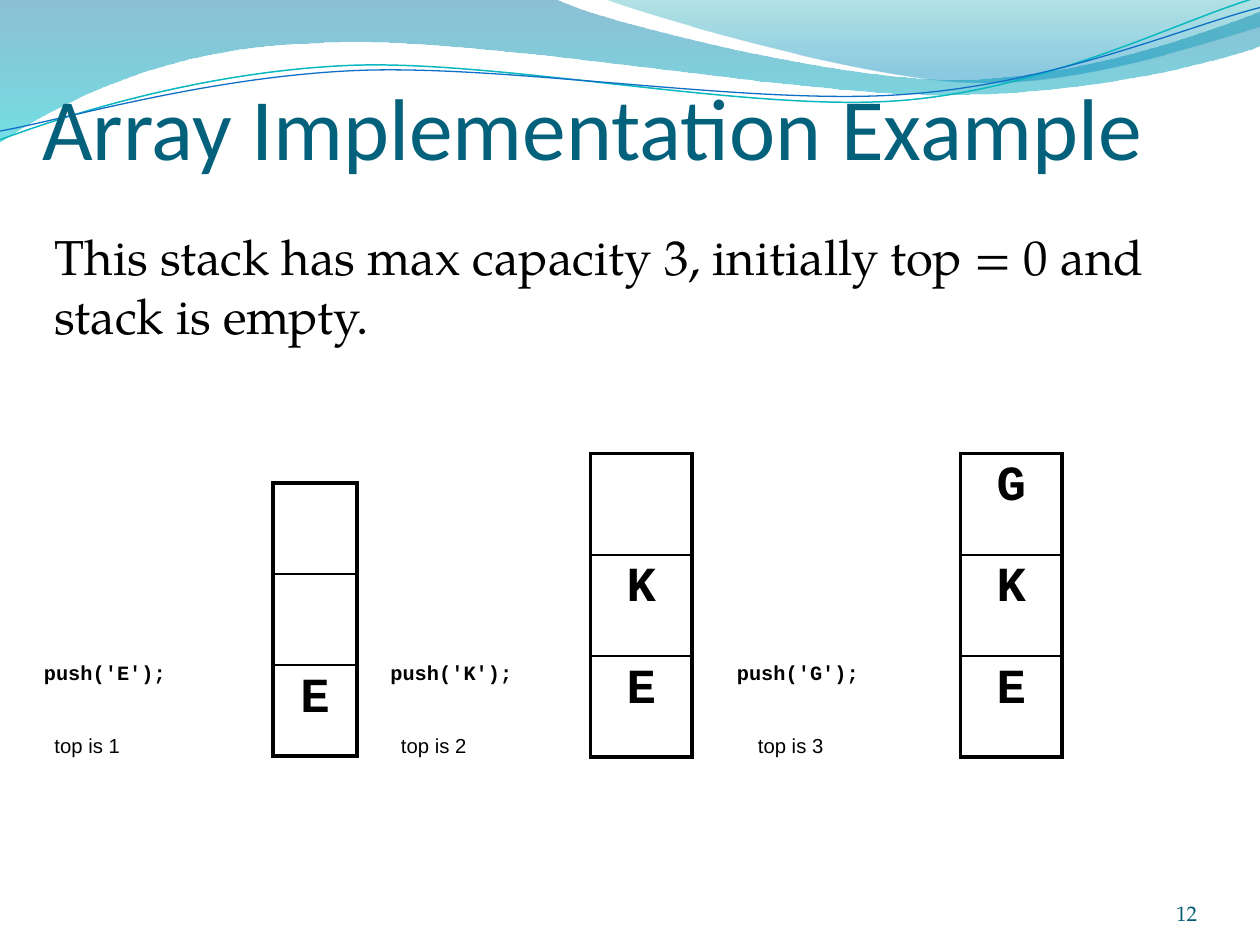
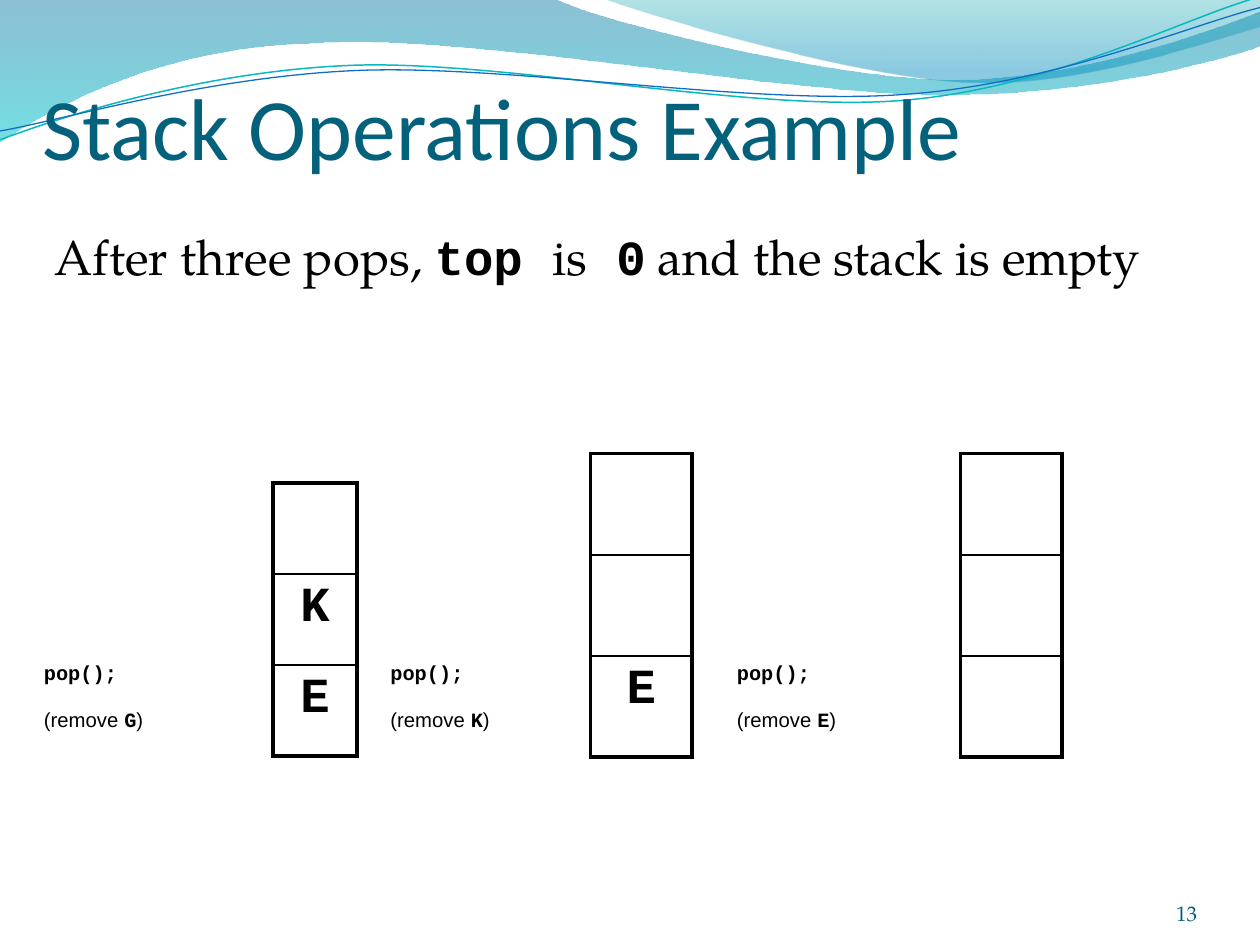
from dataclasses import dataclass

from pptx import Presentation
from pptx.dml.color import RGBColor
from pptx.enum.text import MSO_ANCHOR as Anchor, MSO_AUTO_SIZE as AutoSize, PP_ALIGN as Align
from pptx.oxml.ns import qn
from pptx.oxml.xmlchemy import OxmlElement
from pptx.util import Inches, Pt

# Shared look
BLACK = RGBColor(0, 0, 0)
TITLE_TEAL = RGBColor(0x04, 0x61, 0x7B)
NUMBER_TEAL = RGBColor(0x04, 0x5D, 0x75)
DEEP_BLUE = RGBColor(0x00, 0x74, 0xA1)
CYAN = RGBColor(0x00, 0xC6, 0xCF)
SEA_GREEN = RGBColor(0x00, 0xA1, 0xA9)
SKY_BLUE = RGBColor(0x00, 0x8B, 0xBF)
LINE_CYAN = RGBColor(0x0A, 0xB8, 0xBF)
LINE_BLUE = RGBColor(0x0F, 0x6F, 0xC6)
HEAD, BODY, CODE, SANS = "Calibri", "TeX Gyre Pagella", "Courier New", "Arial"

prs = Presentation()
prs.slide_width, prs.slide_height = Inches(10), Inches(7.5)
COLS, ROWS = 120, 90  # square layout grid
THICK, THIN = 2.25, 1
FIRST_NUMBER = 12


def col(n: float) -> int:
    return round(prs.slide_width * n / COLS)


def row(n: float) -> int:
    return round(prs.slide_height * n / ROWS)


def place(s, x: float, y: float, w: float, h: float) -> None:
    s.left, s.top, s.width, s.height = col(x), row(y), col(w), row(h)


@dataclass
class Stop:
    position: float
    color: RGBColor
    opacity: int


@dataclass
class Wave:
    """A path in inches: pairs are straight segments, sextets are Bezier curves."""
    start: tuple
    segments: list
    stops: tuple = ()
    color: RGBColor = BLACK
    width: float = 0


@dataclass
class Run:
    text: str
    font: str = BODY
    bold: bool = False


@dataclass
class Step:
    """One stack state: contents run from top cell to bottom cell."""
    lines: list
    contents: str
    note: str = ""


@dataclass
class Place:
    label: float
    note: float
    stack_x: float
    stack_y: float
    width: float
    cell: float


@dataclass
class Page:
    title: str
    body: list
    steps: list


PLACES = [Place(3, 4, 26, 46, 8, 8.67),
          Place(36, 37, 56.25, 43.2, 9.64, 9.64),
          Place(69, 71, 91.5, 43.2, 9.64, 9.64)]

WAVES = [
    Wave((0, 0), [(4.4, -.01), (4.76, .17, 6.64, .63, 7.58, .63),
                  (8.53, .63, 9.58, .26, 10, .09), (10.01, .36),
                  (9.83, .44, 8.7, .76, 7.46, .75), (6.22, .75, 3.82, .28, 2.57, .34),
                  (1.29, .36, .46, .83, -.01, 1.13)],
         stops=(Stop(0, DEEP_BLUE, 45), Stop(1, CYAN, 55))),
    Wave((4.79, -.01), [(5.09, .11, 6.82, .62, 7.69, .65),
                        (8.56, .69, 9.61, .32, 10, .21), (10, 0)],
         stops=(Stop(0, SEA_GREEN, 30), Stop(.8, SKY_BLUE, 45))),
    Wave((0, 1.11), [(.48, .93, 1.58, .57, 2.77, .52), (3.95, .47, 5.93, .89, 7.13, .8),
                     (8.33, .71, 9.38, .15, 9.98, -.02)], color=LINE_CYAN, width=.85),
    Wave((0, 1.04), [(.47, .96, 1.64, .61, 2.83, .56), (4.03, .51, 5.97, .84, 7.17, .75),
                     (8.36, .67, 9.41, .21, 10, .06)], color=LINE_BLUE, width=.75),
]


def push(letter: str, contents: str, top: int) -> Step:
    return Step([[Run(f"push('{letter}');", CODE, True)]], contents, f"top is {top}")


def pop(letter: str, contents: str) -> Step:
    return Step([[Run("pop();", CODE, True)],
                 [Run("(remove ", SANS), Run(letter, CODE, True), Run(")", SANS)]], contents)


PAGES = [
    Page("Array Implementation Example",
         [Run("This stack has max capacity 3, initially top = 0 and stack is empty.")],
         [push("E", "  E", 1), push("K", " KE", 2), push("G", "GKE", 3)]),
    Page("Stack Operations Example",
         [Run("After three pops, "), Run("top ", CODE, True), Run("is"),
          Run(" 0", CODE, True), Run(" and the stack is empty")],
         [pop("G", " KE"), pop("K", "  E"), pop("E", "   ")]),
]


def style(p, font: str, size: float, color: RGBColor = BLACK, bold: bool = False) -> None:
    f = p.font
    f.name, f.size, f.bold, f.color.rgb = font, Pt(size), bold, color


def add_runs(p, runs: list, size: float, subscript: bool = False) -> None:
    style(p, runs[0].font, size, bold=runs[0].bold)
    for run in runs:
        r = p.add_run()
        r.text = run.text
        if len(runs) > 1:
            r.font.name, r.font.bold = run.font, run.bold
        if subscript:
            r.font._element.set("baseline", "-25000")


# Wave band, kept on the master
def bend(s, segments: list) -> None:
    """Join each three points of a curve into one Bezier segment."""
    points = iter(list(s.element.iter(qn("a:lnTo"))))
    for seg in segments:
        group = [next(points) for _ in range(len(seg) // 2)]
        if len(group) == 1:
            continue
        curve = OxmlElement("a:cubicBezTo")
        group[0].addprevious(curve)
        for ln in group:
            curve.append(ln[0])
            ln.getparent().remove(ln)


def draw_wave(slide, wave: Wave):
    builder = slide.shapes.build_freeform(*map(Inches, wave.start))
    vertices = [(Inches(seg[i]), Inches(seg[i + 1]))
                for seg in wave.segments for i in range(0, len(seg), 2)]
    builder.add_line_segments(vertices, close=bool(wave.stops))
    s = builder.convert_to_shape()
    bend(s, wave.segments)
    s.shadow.inherit = False
    if not wave.stops:
        s.fill.background()
        s.line.color.rgb, s.line.width = wave.color, Pt(wave.width)
        return s
    s.line.fill.background()
    s.fill.gradient()
    s.fill.gradient_angle = 270
    for target, stop in zip(s.fill.gradient_stops, wave.stops):
        target.position, target.color.rgb = stop.position, stop.color
    for clr, stop in zip(s.element.iter(qn("a:srgbClr")), wave.stops):
        alpha = OxmlElement("a:alpha")
        alpha.set("val", str(stop.opacity * 1000))
        clr.append(alpha)
    return s


def add_master_waves(slide) -> None:
    tree = prs.slide_master.shapes.element
    for i, wave in enumerate(WAVES):
        tree.insert(2 + i, draw_wave(slide, wave).element)


# Stack tables
def set_border(cell, side: str, width: float) -> None:
    ln = OxmlElement(f"a:ln{side}")
    ln.set("w", str(Pt(width)))
    fill, clr = OxmlElement("a:solidFill"), OxmlElement("a:srgbClr")
    clr.set("val", str(BLACK))
    fill.append(clr)
    ln.append(fill)
    cell._tc.get_or_add_tcPr().append(ln)


def add_stack(slide, at: Place, contents: str) -> None:
    n = len(contents)
    table = slide.shapes.add_table(n, 1, col(at.stack_x), row(at.stack_y),
                                   col(at.width), row(at.cell * n)).table
    table.first_row = table.horz_banding = False
    for i, letter in enumerate(contents):
        cell = table.cell(i, 0)
        widths = {"L": THICK, "R": THICK, "T": THIN if i else THICK,
                  "B": THIN if i < n - 1 else THICK}
        for side, width in widths.items():
            set_border(cell, side, width)
        cell.fill.background()
        if letter.strip():
            p = cell.text_frame.paragraphs[0]
            p.alignment, p.space_before = Align.CENTER, Pt(5.6)
            add_runs(p, [Run(letter, CODE, True)], 28)


def add_label(slide, x: float, y: float, w: float, h: float, lines: list, wrap: bool) -> None:
    tf = slide.shapes.add_textbox(col(x), row(y), col(w), row(h)).text_frame
    tf.word_wrap, tf.auto_size = wrap, AutoSize.SHAPE_TO_FIT_TEXT
    for i, runs in enumerate(lines):
        add_runs(tf.add_paragraph() if i else tf.paragraphs[0], runs, 20, subscript=True)


# Title, body and slide number
def add_title(slide, text: str) -> None:
    s = slide.shapes.title
    place(s, 4, 4, 113, 13)
    tf = s.text_frame
    tf.text, tf.vertical_anchor, tf.auto_size = text, Anchor.BOTTOM, AutoSize.NONE
    tf.margin_left = tf.margin_right = tf.margin_bottom = 0
    p = tf.paragraphs[0]
    p.alignment = Align.LEFT
    style(p, HEAD, 50, TITLE_TEAL)


def add_body(slide, runs: list) -> None:
    s = slide.placeholders[1]
    place(s, 4, 21, 107.75, 60)
    s.text_frame.auto_size = AutoSize.NONE
    p = s.text_frame.paragraphs[0]
    p.space_before = Pt(5.6)
    add_runs(p, runs, 28)
    pPr = p._p.get_or_add_pPr()
    pPr.set("marL", "0")
    pPr.set("indent", "0")
    pPr.insert_element_before(OxmlElement("a:buNone"), "a:tabLst", "a:defRPr", "a:extLst")


def add_number(slide, number: int) -> None:
    tf = slide.shapes.add_textbox(col(104), row(83.4), col(10), row(4.8)).text_frame
    tf.word_wrap, tf.vertical_anchor = True, Anchor.BOTTOM
    tf.margin_left = tf.margin_right = tf.margin_top = tf.margin_bottom = 0
    p = tf.paragraphs[0]
    p.text, p.alignment = str(number), Align.RIGHT
    style(p, BODY, 12, NUMBER_TEAL)


def add_page(page: Page, number: int) -> None:
    slide = prs.slides.add_slide(prs.slide_layouts[1])
    if number == FIRST_NUMBER:
        add_master_waves(slide)
    add_title(slide, page.title)
    add_body(slide, page.body)
    for at, step in zip(PLACES, page.steps):
        add_stack(slide, at, step.contents)
        width, height = (18.6, 9.2) if len(step.lines) > 1 else (22.4, 5.2)
        add_label(slide, at.label, 60, width, height, step.lines, wrap=False)
        if step.note:
            add_label(slide, at.note, 67, 16, 5.2, [[Run(step.note, SANS)]], wrap=True)
    add_number(slide, number)


for number, page in enumerate(PAGES, FIRST_NUMBER):
    add_page(page, number)
prs.save("out.pptx")
